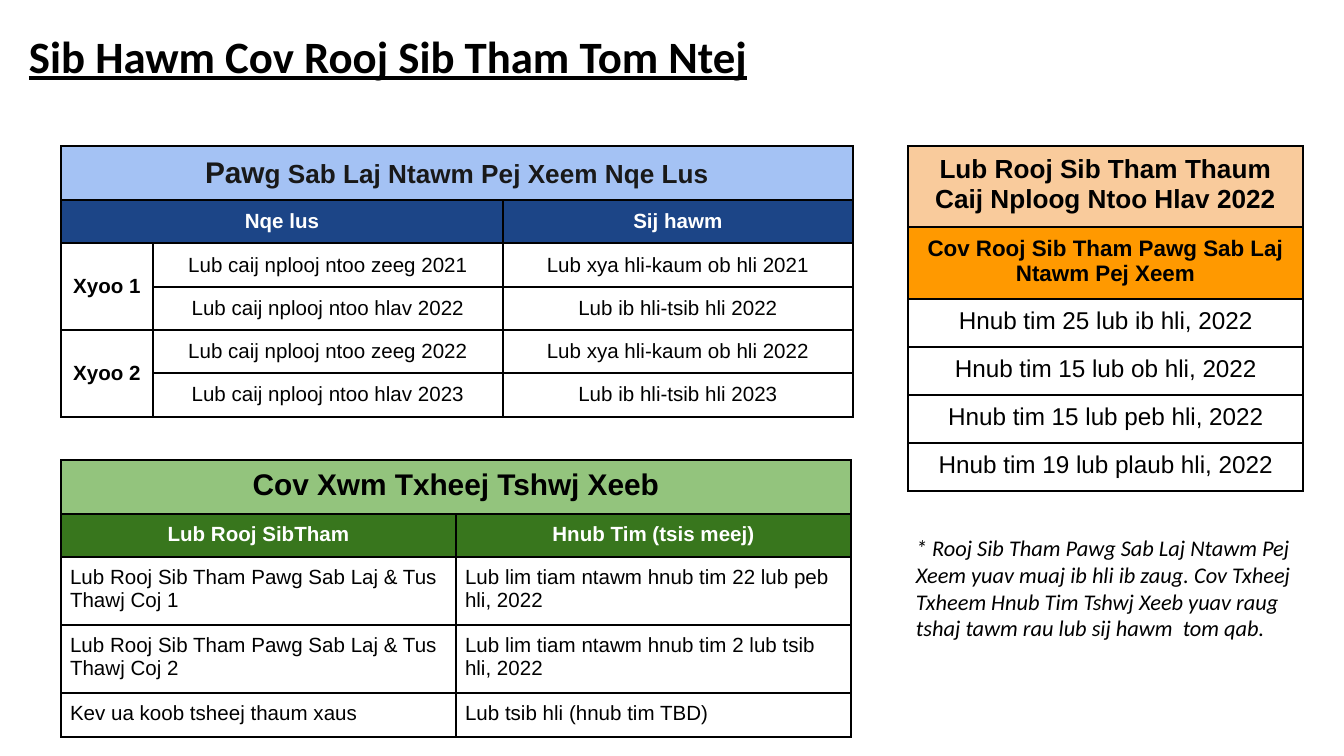
from lxml.etree import SubElement
from pptx import Presentation
from pptx.dml.color import RGBColor
from pptx.enum.text import MSO_ANCHOR, MSO_AUTO_SIZE, PP_ALIGN
from pptx.oxml.ns import qn
from pptx.util import Pt

PX = 914400 / 134.4
HUES = {
    "black": "000000", "white": "FFFFFF", "soot": "191919",
    "sky": "A4C2F4", "navy": "1C4587",
    "peach": "F9CB9C", "orange": "FF9900",
    "mint": "93C47D", "green": "38761D",
}


def px(*sizes):
    return [round(size * PX) for size in sizes]


def grid(x, y, cols, rows, texts, looks, align=PP_ALIGN.CENTER, anchor=MSO_ANCHOR.TOP):
    box = px(x, y, sum(cols), sum(rows))
    table = slide.shapes.add_table(len(rows), len(cols), *box).table
    table.first_row = table.horz_banding = False
    for col, wide in zip(table.columns, px(*cols)):
        col.width = wide
    for r, (row, high) in enumerate(zip(table.rows, px(*rows))):
        row.height = high
        size, bold, ink, fill = looks[min(r, 2)]
        for cell, text in zip(row.cells, texts[r]):
            cell.margin_left, cell.margin_right, cell.margin_top, cell.margin_bottom = px(9, 9, 9, 9)
            cell.vertical_anchor = anchor
            props = cell._tc.get_or_add_tcPr()
            for side in ("a:lnL", "a:lnR", "a:lnT", "a:lnB"):
                line = SubElement(props, qn(side), w=str(Pt(1)))
                paint = SubElement(line, qn("a:solidFill"))
                SubElement(paint, qn("a:srgbClr"), val=HUES["black"])
            if fill:
                cell.fill.solid()
                cell.fill.fore_color.rgb = RGBColor.from_string(HUES[fill])
            else:
                cell.fill.background()
            cell.text = text
            para = cell.text_frame.paragraphs[0]
            para.alignment = PP_ALIGN.CENTER if r < 2 else align
            font = para.font
            font.name, font.size, font.bold = "Arial", Pt(size), bold
            font.color.rgb = RGBColor.from_string(HUES[ink])
    return table


deck = Presentation()
deck.slide_width, deck.slide_height = px(1344, 756)
slide = deck.slides.add_slide(deck.slide_layouts[5])

title = slide.shapes.title
title.text = "Sib Hawm Cov Rooj Sib Tham Tom Ntej"
title.left, title.top, title.width, title.height = px(16, 16, 1117, 82)
note = slide.shapes.add_textbox(*px(903, 521, 405, 136))
note.text_frame.text = (
    "* Rooj Sib Tham Pawg Sab Laj Ntawm Pej Xeem yuav muaj ib hli ib zaug. "
    "Cov Txheej Txheem Hnub Tim Tshwj Xeeb yuav raug tshaj tawm rau lub sij hawm  tom qab."
)
for shape, size in ((title, 24), (note, 12)):
    frame = shape.text_frame
    frame.word_wrap = True
    frame.auto_size = MSO_AUTO_SIZE.NONE
    frame.vertical_anchor = MSO_ANCHOR.TOP
    frame.margin_left, frame.margin_right, frame.margin_top, frame.margin_bottom = px(13, 13, 13, 13)
    para = frame.paragraphs[0]
    para.alignment = PP_ALIGN.LEFT
    font = para.font
    font.name, font.size = "Calibri", Pt(size)
    font.bold = font.underline = shape is title
    font.italic = shape is note
    font.color.rgb = RGBColor.from_string(HUES["black"])

terms = grid(
    61, 146, [92, 350, 350], [54, 43, 44, 43, 43, 44],
    [
        ["Paw", "", ""],
        ["Nqe lus", "", "Sij hawm"],
        ["Xyoo 1", "Lub caij nplooj ntoo zeeg 2021", "Lub xya hli-kaum ob hli 2021"],
        ["", "Lub caij nplooj ntoo hlav 2022", "Lub ib hli-tsib hli 2022"],
        ["Xyoo 2", "Lub caij nplooj ntoo zeeg 2022", "Lub xya hli-kaum ob hli 2022"],
        ["", "Lub caij nplooj ntoo hlav 2023", "Lub ib hli-tsib hli 2023"],
    ],
    [(16, True, "soot", "sky"), (11, True, "white", "navy"), (11, False, "black", None)],
    anchor=MSO_ANCHOR.MIDDLE,
)
rest = terms.cell(0, 0).text_frame.paragraphs[0].add_run()
rest.text = "g Sab Laj Ntawm Pej Xeem Nqe Lus"
rest.font.size = Pt(14)
for top, left, low, right in ((0, 0, 0, 2), (1, 0, 1, 1), (2, 0, 3, 0), (4, 0, 5, 0)):
    terms.cell(top, left).merge(terms.cell(low, right))
for r in (2, 4):
    terms.cell(r, 0).text_frame.paragraphs[0].font.bold = True

days = ["25 lub ib", "15 lub ob", "15 lub peb", "19 lub plaub"]
grid(
    908, 146, [395], [81, 72] + [48] * 4,
    [
        ["Lub Rooj Sib Tham Thaum Caij Nploog Ntoo Hlav 2022"],
        ["Cov Rooj Sib Tham Pawg Sab Laj Ntawm Pej Xeem"],
    ] + [[f"Hnub tim {day} hli, 2022"] for day in days],
    [(14, True, "black", "peach"), (12, True, "black", "orange"), (13, False, "black", None)],
)

events = grid(
    61, 460, [395, 395], [54, 43, 68, 68, 44],
    [
        ["Cov Xwm Txheej Tshwj Xeeb", ""],
        ["Lub Rooj SibTham", "Hnub Tim (tsis meej)"],
        ["Lub Rooj Sib Tham Pawg Sab Laj & Tus Thawj Coj 1",
         "Lub lim tiam ntawm hnub tim 22 lub peb hli, 2022"],
        ["Lub Rooj Sib Tham Pawg Sab Laj & Tus Thawj Coj 2",
         "Lub lim tiam ntawm hnub tim 2 lub tsib hli, 2022"],
        ["Kev ua koob tsheej thaum xaus", "Lub tsib hli (hnub tim TBD)"],
    ],
    [(16, True, "black", "mint"), (11, True, "white", "green"), (11, False, "black", None)],
    align=PP_ALIGN.LEFT,
)
events.cell(0, 0).merge(events.cell(0, 1))

deck.save("out.pptx")
